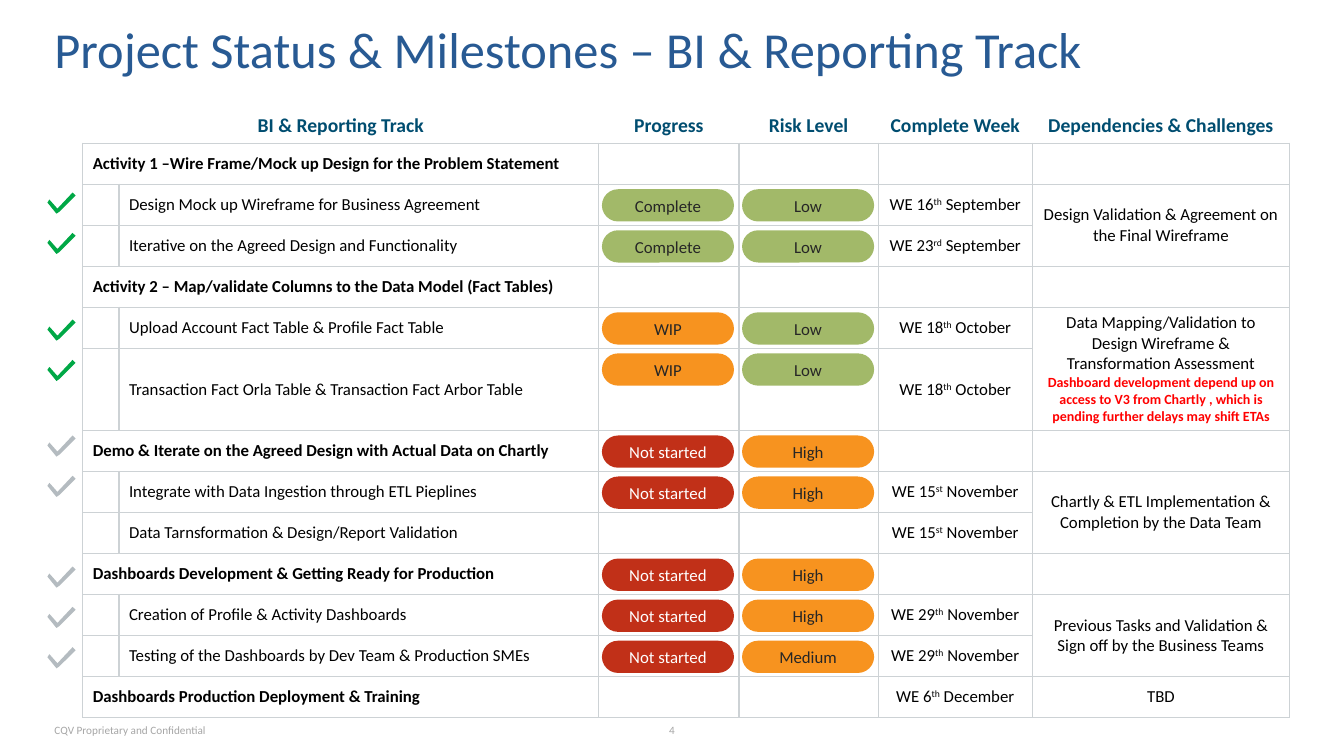
import lxml.etree
import pptx
import pptx.dml.color
import pptx.enum.shapes
import pptx.enum.text
import pptx.util

Inches = pptx.util.Inches
ALIGN = pptx.enum.text.PP_ALIGN
ANCHOR = pptx.enum.text.MSO_ANCHOR
SHAPE = pptx.enum.shapes.MSO_SHAPE
DRAWING_NS = "{http://schemas.openxmlformats.org/drawingml/2006/main}"

COLORS = {
    "title": "285A93", "header": "004D70", "footer": "A6A6A6", "text": "000000",
    "pill_text": "262626", "white": "FFFFFF", "border": "CDD2D5", "alert": "FF0000",
    "green": "A2B969", "orange": "F7931F", "red": "C13018",
    "done": "00A846", "open": "B4BBC0",
}
PILL_FILLS = {
    "Complete": "green", "WIP": "orange", "Not started": "red",
    "Low": "green", "Medium": "orange", "High": "orange",
}

TABLE_LEFT, TABLE_TOP, TABLE_BOTTOM = 0.82, 0.97, 7.12
HEADER_HEIGHT = 0.45
COLUMN_WIDTHS = [0.36, 4.76, 1.39, 1.38, 1.53, 2.55]
HEADERS = {0: "BI & Reporting Track", 2: "Progress", 3: "Risk Level",
           4: "Complete Week", 5: "Dependencies & Challenges"}
TALL_ROW = 6
PILL_LEFTS = [5.97, 7.36]
TICK = [(0.25, 0), (0.1, 0.16), (0.02, 0.07), (0, 0.1),
        (0.09, 0.21), (0.12, 0.19), (0.28, 0.03)]

# is heading, task, (progress, risk), (day, suffix, month)
TASKS = [
    (True, "Activity 1 –Wire Frame/Mock up Design for the Problem Statement", (), None),
    (False, "Design Mock up Wireframe for Business Agreement",
     ("Complete", "Low"), ("16", "th", "September")),
    (False, "Iterative on the Agreed Design and Functionality",
     ("Complete", "Low"), ("23", "rd", "September")),
    (True, "Activity 2 – Map/validate Columns to the Data Model (Fact Tables)", (), None),
    (False, "Upload Account Fact Table & Profile Fact Table",
     ("WIP", "Low"), ("18", "th", "October")),
    (False, "Transaction Fact Orla Table & Transaction Fact Arbor Table",
     ("WIP", "Low"), ("18", "th", "October")),
    (True, "Demo & Iterate on the Agreed Design with Actual Data on Chartly",
     ("Not started", "High"), None),
    (False, "Integrate with Data Ingestion through ETL Pieplines",
     ("Not started", "High"), ("15", "st", "November")),
    (False, "Data Tarnsformation & Design/Report Validation", (), ("15", "st", "November")),
    (True, "Dashboards Development & Getting Ready for Production",
     ("Not started", "High"), None),
    (False, "Creation of Profile & Activity Dashboards",
     ("Not started", "High"), ("29", "th", "November")),
    (False, "Testing of the Dashboards by Dev Team & Production SMEs",
     ("Not started", "Medium"), ("29", "th", "November")),
    (True, "Dashboards Production Deployment & Training", (), ("6", "th", "December")),
]
# first row: (rows spanned, text, warning)
DEPENDENCIES = {
    2: (2, "Design Validation & Agreement on the Final Wireframe", ""),
    5: (2, "Data Mapping/Validation to Design Wireframe & Transformation Assessment",
        "Dashboard development depend up on access to V3 from Chartly , "
        "which is pending further delays may shift ETAs"),
    8: (2, "Chartly & ETL Implementation & Completion by the Data Team", ""),
    11: (2, "Previous Tasks and Validation & Sign off by the Business Teams", ""),
    13: (1, "TBD", ""),
}
TICK_TOPS = {"done": [1.91, 2.31, 3.17, 3.57],
             "open": [4.32, 4.72, 5.62, 6.02, 6.42]}


def assign(obj, **values):
    for name, value in values.items():
        setattr(obj, name, value)


def rgb(name):
    return pptx.dml.color.RGBColor.from_string(COLORS[name])


class StatusSlide:
    font = "Calibri"

    def __init__(self, prs):
        self.s = prs.slides.add_slide(prs.slide_layouts[6])

    def run(self, p, text, size=12, color="text", bold=False, raised=False):
        r = p.add_run()
        r.text = text
        assign(r.font, name=self.font, size=pptx.util.Pt(size), bold=bold)
        r.font.color.rgb = rgb(color)
        if raised:
            r._r.get_or_add_rPr().set("baseline", "30000")

    def text(self, left, top, width, height, text, size, color,
             inset_top=0, **paragraph):
        sp = self.s.shapes.add_textbox(*map(Inches, (left, top, width, height)))
        tf = sp.text_frame
        assign(tf, word_wrap=True, vertical_anchor=ANCHOR.MIDDLE, margin_left=0,
               margin_right=0, margin_top=Inches(inset_top), margin_bottom=0)
        p = tf.paragraphs[0]
        assign(p, **paragraph)
        self.run(p, text, size, color)

    def pill(self, left, top, label):
        sp = self.s.shapes.add_shape(SHAPE.ROUNDED_RECTANGLE,
                                     *map(Inches, (left, top, 1.31, 0.32)))
        sp.adjustments[0] = 0.5
        self.paint(sp, PILL_FILLS[label])
        tf = sp.text_frame
        assign(tf, word_wrap=True, vertical_anchor=ANCHOR.MIDDLE,
               margin_top=0, margin_bottom=0)
        p = tf.paragraphs[0]
        p.alignment = ALIGN.CENTER
        self.run(p, label, color="white" if label == "Not started" else "pill_text")

    def tick(self, left, top, color):
        points = [(Inches(left + x), Inches(top + y)) for x, y in TICK]
        builder = self.s.shapes.build_freeform(*points[0])
        builder.add_line_segments(points[1:], close=True)
        self.paint(builder.convert_to_shape(), color)

    def paint(self, sp, color):
        """Give a shape a flat fill with no line or shadow."""
        sp.shadow.inherit = False
        sp.fill.solid()
        sp.fill.fore_color.rgb = rgb(color)
        sp.line.fill.background()

    def table(self, left, top, widths, heights):
        frame = self.s.shapes.add_table(
            len(heights), len(widths),
            *map(Inches, (left, top, sum(widths), sum(heights))))
        table = frame.table
        assign(table, first_row=False, horz_banding=False)
        for column, width in zip(table.columns, widths):
            column.width = Inches(width)
        for i, (row, height) in enumerate(zip(table.rows, heights)):
            row.height = Inches(height)
            for cell in row.cells:
                self.style_cell(cell, "LRTB" if i else "B")
        return table

    def style_cell(self, cell, sides):
        assign(cell, vertical_anchor=ANCHOR.MIDDLE,
               margin_top=Inches(0.02), margin_bottom=Inches(0.02))
        tc_pr = cell._tc.get_or_add_tcPr()
        for side in sides:
            line = lxml.etree.SubElement(tc_pr, DRAWING_NS + "ln" + side, w="12700")
            fill = lxml.etree.SubElement(line, DRAWING_NS + "solidFill")
            lxml.etree.SubElement(fill, DRAWING_NS + "srgbClr", val=COLORS["border"])
        cell.fill.solid()
        cell.fill.fore_color.rgb = rgb("white")

    def cell_text(self, cell, *runs, align=ALIGN.CENTER, **cell_format):
        """Write (text, run format) pairs into the cell's first paragraph."""
        assign(cell, **cell_format)
        p = cell.text_frame.paragraphs[0]
        p.alignment = align
        for text, run_format in runs:
            self.run(p, text, **run_format)


def fill_table(slide, table):
    for column, label in HEADERS.items():
        slide.cell_text(table.cell(0, column),
                        (label, {"size": 14, "color": "header", "bold": True}),
                        vertical_anchor=ANCHOR.BOTTOM, margin_bottom=Inches(0.05))
    table.cell(0, 0).merge(table.cell(0, 1))
    for row, (heading, task, _, week) in enumerate(TASKS, 1):
        slide.cell_text(table.cell(row, 0 if heading else 1),
                        (task, {"bold": heading}), align=ALIGN.LEFT)
        if heading:
            table.cell(row, 0).merge(table.cell(row, 1))
        if week:
            day, suffix, month = week
            slide.cell_text(table.cell(row, 4), ("WE " + day, {}),
                            (suffix, {"raised": True}), (" " + month, {}),
                            margin_left=0, margin_right=0)
    for row, (span, text, warning) in DEPENDENCIES.items():
        cell = table.cell(row, 5)
        if span > 1:
            cell.merge(table.cell(row + span - 1, 5))
        slide.cell_text(cell, (text, {}))
        if warning:
            p = cell.text_frame.add_paragraph()
            p.alignment = ALIGN.CENTER
            slide.run(p, warning, 10, "alert", bold=True)


def main():
    prs = pptx.Presentation()
    assign(prs, slide_width=Inches(13.33), slide_height=Inches(7.5))
    slide = StatusSlide(prs)
    slide.text(6.48, 7.13, 0.37, 0.23, "4", 8, "footer", alignment=ALIGN.CENTER)
    slide.text(0.54, 0.18, 12.25, 0.51,
               "Project Status & Milestones – BI & Reporting Track",
               36, "title", inset_top=0.2, line_spacing=0.8)
    slide.text(0.54, 7.13, 1.61, 0.23, "CQV Proprietary and Confidential", 8, "footer")

    unit = (TABLE_BOTTOM - TABLE_TOP - HEADER_HEIGHT) / (len(TASKS) + 1)
    heights = [HEADER_HEIGHT] + [unit] * len(TASKS)
    heights[TALL_ROW] = 2 * unit
    fill_table(slide, slide.table(TABLE_LEFT, TABLE_TOP, COLUMN_WIDTHS, heights))

    for row, (_, _, labels, _) in enumerate(TASKS, 1):
        top = TABLE_TOP + sum(heights[:row]) + 0.05
        for left, label in zip(PILL_LEFTS, labels):
            slide.pill(left, top, label)
    for color, tops in TICK_TOPS.items():
        for top in tops:
            slide.tick(0.47, top, color)
    prs.save("out.pptx")


if __name__ == "__main__":
    main()
